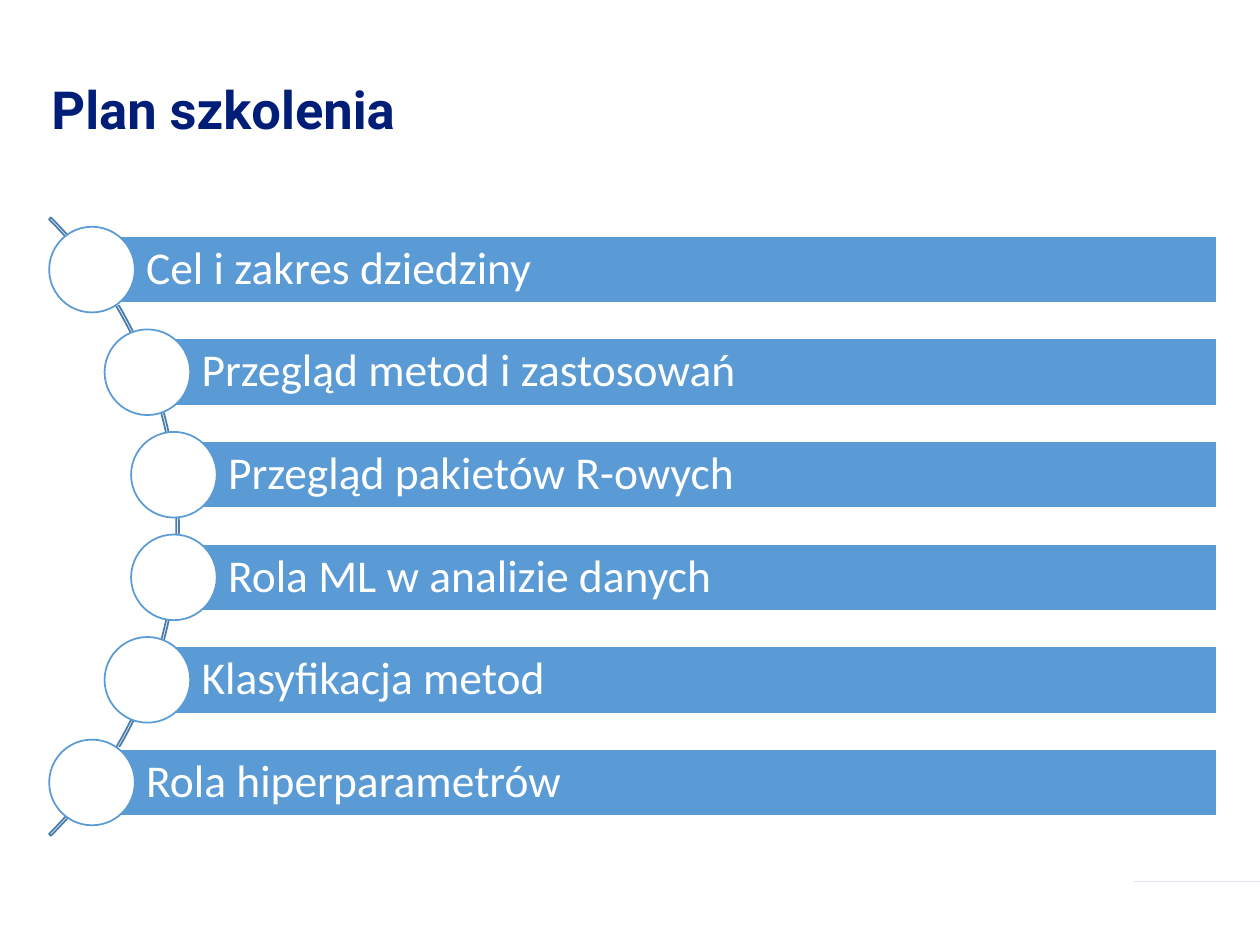
import math
import pptx
import pptx.util
import pptx.dml.color
import pptx.enum.shapes
import pptx.enum.text
from pptx.util import Inches, Pt

NAVY, BLUE, ARC_BLUE, WHITE = "001D77", "5B9BD5", "497CAB", "FFFFFF"

TITLE = "Plan szkolenia"
PAGE_NUMBER = "2"
# Topic and the x of its circle's centre, which is also the bar's left edge
TOPICS = [
    ("Cel i zakres dziedziny", 0.73),
    ("Przegląd metod i zastosowań", 1.17),
    ("Przegląd pakietów R-owych", 1.38),
    ("Rola ML w analizie danych", 1.38),
    ("Klasyfikacja metod", 1.17),
    ("Rola hiperparametrów", 0.73),
]
FIRST_CENTER, LAST_CENTER = 2.14, 6.21
BAR_RIGHT, BAR_HEIGHT, CIRCLE = 9.66, 0.54, 0.68

SHAPES = pptx.enum.shapes.MSO_SHAPE
ALIGN = pptx.enum.text.PP_ALIGN


def color(value):
    return pptx.dml.color.RGBColor.from_string(value)


def style(shape, fill=None, line=None, line_width=1):
    shape.shadow.inherit = False
    if fill:
        shape.fill.solid()
        shape.fill.fore_color.rgb = color(fill)
    else:
        shape.fill.background()
    if line:
        shape.line.color.rgb = color(line)
        shape.line.width = Pt(line_width)
    else:
        shape.line.fill.background()


def add_preset(slide, kind, left, top, width, height, **look):
    shape = slide.shapes.add_shape(
        kind, Inches(left), Inches(top), Inches(width), Inches(height))
    style(shape, **look)
    return shape


def write(shape, text, size, font, ink, bold=False, align=ALIGN.LEFT, spacing=1.0):
    frame = shape.text_frame
    frame.word_wrap = True
    frame.vertical_anchor = pptx.enum.text.MSO_ANCHOR.MIDDLE
    frame.text = text
    paragraph = frame.paragraphs[0]
    paragraph.alignment = align
    paragraph.line_spacing = spacing
    run_font = paragraph.runs[0].font
    run_font.size, run_font.name, run_font.bold = Pt(size), font, bold
    run_font.color.rgb = color(ink)


def add_page_tab(slide):
    """Tab at the right edge, with a half-round left end."""
    center_x, center_y, radius = 9.57, 7.15, 0.13
    angles = [math.radians(90 + 10 * step) for step in range(19)]
    points = [(center_x + radius * math.cos(angle), center_y + radius * math.sin(angle))
              for angle in angles]
    points.append((10, center_y - radius))
    builder = slide.shapes.build_freeform(10, center_y + radius, scale=Inches(1))
    builder.add_line_segments(points, close=True)
    style(builder.convert_to_shape(), fill=NAVY)


def add_topic(slide, text, left, center_y):
    bar = add_preset(slide, SHAPES.RECTANGLE, left, center_y - BAR_HEIGHT / 2,
                     BAR_RIGHT - left, BAR_HEIGHT, fill=BLUE, line=WHITE, line_width=1.5)
    frame = bar.text_frame
    frame.margin_left = Inches(0.43)
    frame.margin_top = frame.margin_right = frame.margin_bottom = Inches(0.07)
    write(bar, text, 26, "Calibri", WHITE, spacing=0.9)
    add_preset(slide, SHAPES.OVAL, left - CIRCLE / 2, center_y - CIRCLE / 2,
               CIRCLE, CIRCLE, fill=WHITE, line=BLUE)


def main():
    presentation = pptx.Presentation()
    presentation.slide_width, presentation.slide_height = Inches(10), Inches(7.5)
    slide = presentation.slides.add_slide(presentation.slide_layouts[6])

    # Page tab and title
    add_page_tab(slide)
    title = slide.shapes.add_textbox(Inches(0.31), Inches(0.4), Inches(9.42), Inches(0.98))
    write(title, TITLE, 30, "Roboto", NAVY, bold=True, spacing=0.9)

    # Arc behind the topics: start and end angle, then thickness
    arc = add_preset(slide, SHAPES.BLOCK_ARC, -5.52, 0.71, 6.94, 6.94, line=ARC_BLUE)
    for index, value in enumerate((189, 27, 0.003)):
        arc.adjustments[index] = value

    # Topics, evenly spaced
    pitch = (LAST_CENTER - FIRST_CENTER) / (len(TOPICS) - 1)
    for index, (text, left) in enumerate(TOPICS):
        add_topic(slide, text, left, FIRST_CENTER + index * pitch)

    # Page number
    number = slide.shapes.add_textbox(Inches(7.06), Inches(6.95), Inches(2.83), Inches(0.4))
    write(number, PAGE_NUMBER, 12, "Roboto", WHITE, align=ALIGN.RIGHT)

    presentation.save("out.pptx")


if __name__ == "__main__":
    main()
